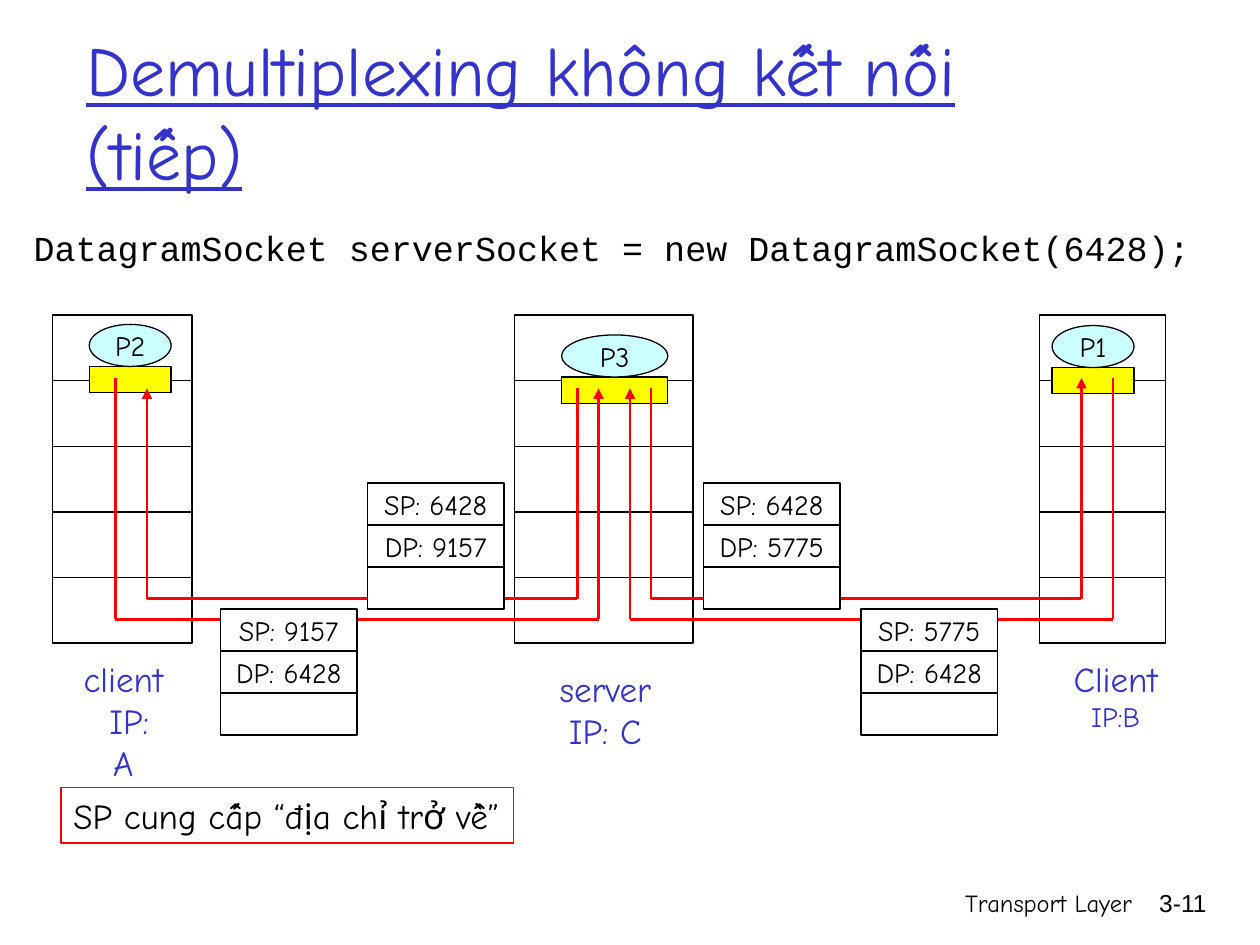
from itertools import pairwise

from lxml.etree import SubElement
from pptx import Presentation
from pptx.dml.color import RGBColor
from pptx.enum.shapes import MSO_CONNECTOR, MSO_SHAPE
from pptx.enum.text import MSO_ANCHOR, MSO_AUTO_SIZE, PP_ALIGN
from pptx.oxml.ns import qn
from pptx.util import Inches, Pt

BLACK = RGBColor(0x00, 0x00, 0x00)
WHITE = RGBColor(0xFF, 0xFF, 0xFF)
RED = RGBColor(0xFF, 0x00, 0x00)
BLUE = RGBColor(0x33, 0x33, 0xCC)
YELLOW = RGBColor(0xFF, 0xFF, 0x00)
CYAN = RGBColor(0xCC, 0xFF, 0xFF)

FONT, CODE_FONT, NUMBER_FONT = "Comic Neue", "Courier New", "Arial"

# Grid of 12 columns and 12 rows to the inch; all lengths below are in cells.
HOST_TOP, HOST_ROWS, ROW_H = 30, 5, 6.25
PROCESS_H, SOCKET_H = 4, 2.5
FIELD_W, FIELD_H = 13, 4
REPLY_LANE, REQUEST_LANE = 57, 59


def cells(*values):
    return [Inches(v / 12) for v in values]


def write(p, text, size, color=BLACK, font=FONT):
    r = p.add_run()
    r.text = text
    r.font.size = Pt(size)
    r.font.name = font
    r.font.color.rgb = color
    return r


def add_box(slide, box, fill=WHITE, line=BLACK, text=None, kind=MSO_SHAPE.RECTANGLE,
            size=16, align=PP_ALIGN.CENTER):
    s = slide.shapes.add_shape(kind, *cells(*box))
    s.shadow.inherit = False
    if fill is None:
        s.fill.background()
    else:
        s.fill.solid()
        s.fill.fore_color.rgb = fill
    s.line.color.rgb = line
    s.line.width = Pt(0.75)
    if text:
        tf = s.text_frame
        tf.word_wrap = False
        tf.vertical_anchor = MSO_ANCHOR.MIDDLE
        p = tf.paragraphs[0]
        p.alignment = align
        write(p, text, size)


def add_label(slide, box, lines, align=PP_ALIGN.CENTER):
    """Text box with one paragraph per (text, size, color, font) line."""
    tf = slide.shapes.add_textbox(*cells(*box)).text_frame
    tf.word_wrap = False
    for i, line in enumerate(lines):
        p = tf.add_paragraph() if i else tf.paragraphs[0]
        p.alignment = align
        write(p, *line)


def add_host(slide, x, w):
    for row in range(HOST_ROWS):
        add_box(slide, (x, HOST_TOP + row * ROW_H, w, ROW_H))


def add_process(slide, x, y, w, name):
    """Process ellipse standing on its socket."""
    add_box(slide, (x, y + PROCESS_H, w, SOCKET_H), YELLOW)
    add_box(slide, (x, y, w, PROCESS_H), CYAN, text=name, kind=MSO_SHAPE.OVAL)


def add_route(slide, start_x, start_y, lane, end_x, end_y):
    """Down to a lane, along it, and up to an arrowhead."""
    points = [(start_x, start_y), (start_x, lane), (end_x, lane), (end_x, end_y)]
    for begin, end in pairwise(points):
        c = slide.shapes.add_connector(MSO_CONNECTOR.STRAIGHT, *cells(*begin, *end))
        c.line.color.rgb = RED
        c.line.width = Pt(1.5)
        if end == points[-1]:
            SubElement(c.line._get_or_add_ln(), qn("a:tailEnd"), type="triangle")
        SubElement(c._element.spPr, qn("a:effectLst"))


def add_datagram(slide, x, y, source, dest):
    for i, text in enumerate((f"SP: {source}", f"DP: {dest}", None)):
        add_box(slide, (x, y + i * FIELD_H, FIELD_W, FIELD_H), text=text)


def fill_placeholder(ph, box, anchor, text, size, color, font):
    ph.left, ph.top, ph.width, ph.height = cells(*box)
    tf = ph.text_frame
    tf.word_wrap = True
    tf.auto_size = MSO_AUTO_SIZE.NONE
    tf.vertical_anchor = anchor
    p = tf.paragraphs[0]
    p.alignment = PP_ALIGN.LEFT
    return p, write(p, text, size, color, font)


def add_heading(slide):
    _, r = fill_placeholder(slide.shapes.title, (7, 3, 102, 15), MSO_ANCHOR.MIDDLE,
                            "Demultiplexing không kết nối (tiếp)", 40, BLUE, FONT)
    r.font.underline = True
    p, _ = fill_placeholder(slide.placeholders[1], (2, 21, 114, 8), MSO_ANCHOR.TOP,
                            "DatagramSocket serverSocket = new DatagramSocket(6428);",
                            20, BLACK, CODE_FONT)
    p.space_before = Pt(5)
    pPr = p._p.get_or_add_pPr()
    pPr.set("marL", "0")
    pPr.set("indent", "0")
    SubElement(pPr, qn("a:buNone"))


def main():
    prs = Presentation()
    prs.slide_width, prs.slide_height = Inches(10), Inches(7.5)
    slide = prs.slides.add_slide(prs.slide_layouts[1])
    add_heading(slide)

    for x, w in ((5, 13.3), (49, 17), (99, 12)):
        add_host(slide, x, w)
    for x, y, w, name in ((8.5, 30.9, 7.8, "P2"), (53.5, 31.9, 10.1, "P3"),
                          (100.2, 31, 7.8, "P1")):
        add_process(slide, x, y, w, name)

    for box, name, address, size in (
            ((6.6, 62, 10.3, 9.2), "client", " IP: A", 20),
            ((52.1, 63, 11.1, 9.2), "server", "IP: C", 20),
            ((101, 62, 10.5, 8.4), "Client", "IP:B", 16)):
        add_label(slide, box, [(name, 20, BLUE), (address, size, BLUE)])

    for route in ((11, 36, REQUEST_LANE, 57, 37), (55, 37, REPLY_LANE, 14, 37),
                  (106, 36, REQUEST_LANE, 60, 37), (62, 37, REPLY_LANE, 103, 36)):
        add_route(slide, *route)

    for datagram in ((35, 46, 6428, 9157), (21, 58, 9157, 6428),
                     (67, 46, 6428, 5775), (82, 58, 5775, 6428)):
        add_datagram(slide, *datagram)

    add_box(slide, (5.8, 75, 43.1, 5.3), None, RED, "SP cung cấp “địa chỉ trở về”",
            size=20, align=PP_ALIGN.LEFT)
    add_label(slide, (71, 84, 38, 6), [("Transport Layer", 14)], PP_ALIGN.RIGHT)
    add_label(slide, (107.2, 84, 8.9, 6), [("3-11", 14, BLACK, NUMBER_FONT)],
              PP_ALIGN.RIGHT)
    prs.save("out.pptx")


if __name__ == "__main__":
    main()
